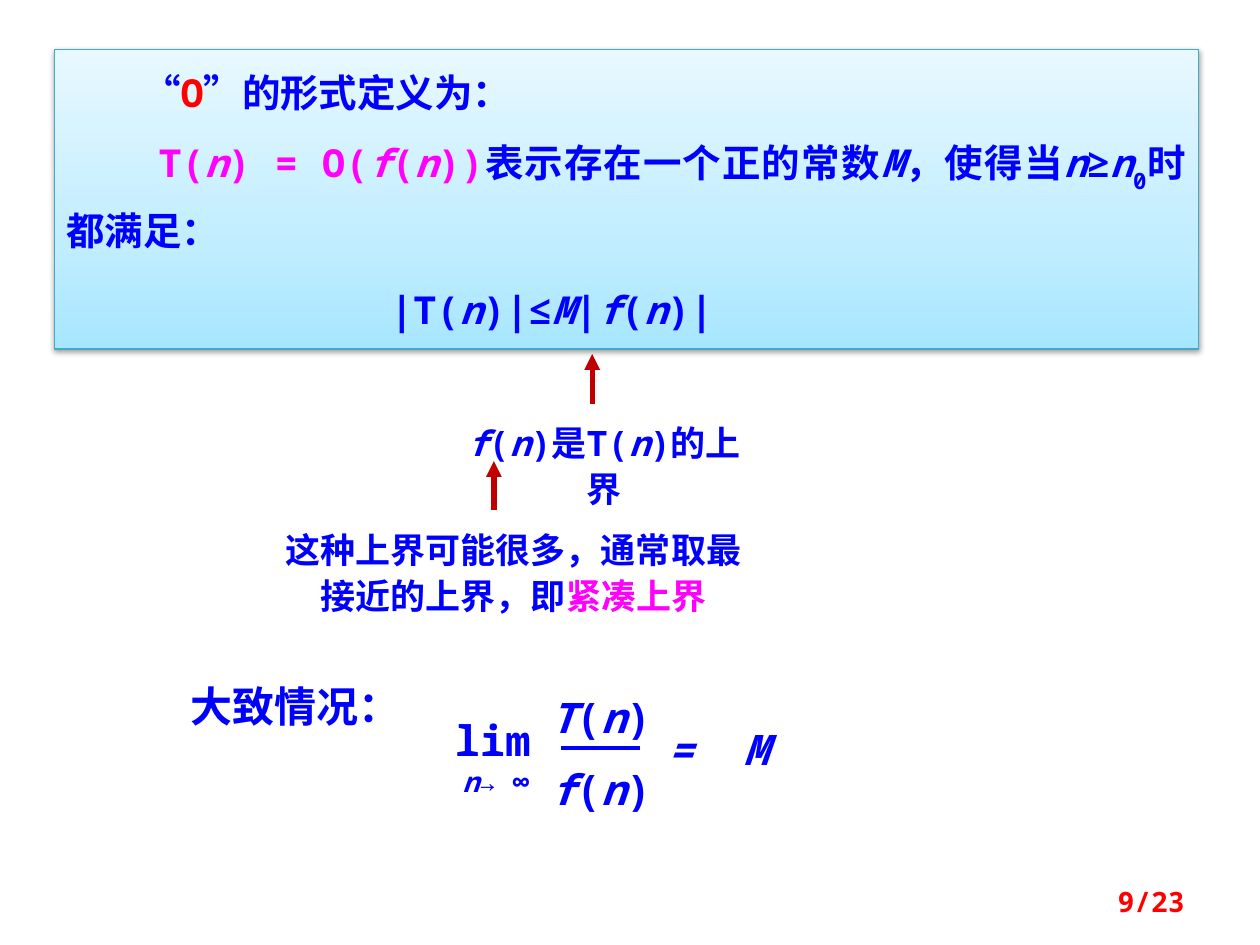
from copy import deepcopy

from lxml import etree
from pptx import Presentation
from pptx.dml.color import RGBColor
from pptx.enum.shapes import MSO_CONNECTOR, MSO_SHAPE
from pptx.enum.text import MSO_ANCHOR, MSO_AUTO_SIZE, PP_ALIGN
from pptx.oxml import parse_xml
from pptx.oxml.ns import nsdecls, qn
from pptx.util import Inches, Pt

LEFT, CENTER, RIGHT, JUSTIFY = PP_ALIGN.LEFT, PP_ALIGN.CENTER, PP_ALIGN.RIGHT, PP_ALIGN.JUSTIFY
FONT = "Noto Sans Mono"
BLUE, RED, PINK, DARK_RED = "0000FF", "FF0000", "FF00FF", "C00000"


def rgb(color):
    return RGBColor.from_string(color)


def add_runs(p, runs, size):
    """Each run is text, then optionally its style ("i" italic, "sub" subscript) and colour."""
    for text, style, color in runs:
        r = p.add_run()
        r.text = text
        r.font.name, r.font.size, r.font.bold = FONT, Pt(size), True
        r.font.italic = style == "i"
        r.font.color.rgb = rgb(color)
        if style == "sub":
            r.font._element.set("baseline", "-30000")


prs = Presentation()
prs.slide_width, prs.slide_height = Inches(10), Inches(7.5)
s = prs.slides.add_slide(prs.slide_layouts[6])

# Definition panel: gradient from bottom to top, soft shadow
sp = s.shapes.add_shape(MSO_SHAPE.RECTANGLE, Inches(0.43), Inches(0.39), Inches(9.08), Inches(2.38))
sp.line.color.rgb = rgb("46AAC5")
sp.line.width = Pt(0.75)
sp.fill.gradient()
sp.fill.gradient_angle = 90
stops = sp._element.spPr.find(".//" + qn("a:gsLst"))
stops.append(deepcopy(stops[-1]))
for stop, color, pos in zip(sp.fill.gradient_stops, ("A7E6FF", "C1EDFF", "E7F8FF"), (0, 0.35, 1)):
    stop.color.rgb = rgb(color)
    stop.position = pos
sp.shadow.inherit = False
sp._element.spPr.find(qn("a:effectLst")).append(parse_xml(
    f'<a:outerShdw {nsdecls("a")} blurRad="39370" dist="20320" dir="5400000" rotWithShape="0">'
    '<a:srgbClr val="000000"><a:alpha val="38000"/></a:srgbClr></a:outerShdw>'))

# Definition text: first-line indent and runs of each paragraph
definition = [
    (0.6, [("“", "", BLUE), ("O", "", RED), ("”的形式定义为：", "", BLUE)]),
    (0.73, [("T(", "", PINK), ("n", "i", PINK), (") = O(", "", PINK), ("f", "i", PINK),
            ("(", "", PINK), ("n", "i", PINK), ("))", "", PINK),
            ("表示存在一个正的常数", "", BLUE), ("M", "i", BLUE), ("，使得当", "", BLUE),
            ("n", "i", BLUE), ("≥", "", BLUE), ("n", "i", BLUE), ("0", "sub", BLUE),
            ("时都满足：", "", BLUE)]),
    (2.57, [("|T(", "", BLUE), ("n", "i", BLUE), (")|≤", "", BLUE), ("M", "i", BLUE),
            ("|", "", BLUE), ("f", "i", BLUE), ("(", "", BLUE), ("n", "i", BLUE),
            (")|", "", BLUE)]),
]
tf = sp.text_frame
tf.word_wrap = True
tf.auto_size = MSO_AUTO_SIZE.SHAPE_TO_FIT_TEXT
tf.vertical_anchor = MSO_ANCHOR.TOP
for i, (indent, runs) in enumerate(definition):
    p = tf.add_paragraph() if i else tf.paragraphs[0]
    p.alignment = JUSTIFY
    p.line_spacing = Pt(34)
    if i:
        p.space_before = Pt(11)
    p._p.get_or_add_pPr().set("indent", str(Inches(indent)))
    add_runs(p, runs, 22)

# Notes and the limit formula: box, inner margin, size, alignment, runs
PAD = 0.1
texts = [
    ((3.49, 3.26, 2.61, 0.47), PAD, 20, CENTER,
     [("f", "i", BLUE), ("(", "", BLUE), ("n", "i", BLUE), (")是T(", "", BLUE),
      ("n", "i", BLUE), (")的上界", "", BLUE)]),
    ((2.11, 4.11, 3.93, 0.84), PAD, 20, CENTER,
     [("这种上界可能很多，通常取最接近的上界，即", "", BLUE), ("紧凑上界", "", PINK)]),
    ((1.41, 5.31, 2.11, 0.55), PAD, 24, LEFT, [("大致情况：", "", BLUE)]),
    ((3.44, 5.63, 0.94, 0.44), 0, 24, CENTER, [("lim", "", BLUE)]),
    ((3.67, 6.04, 0.63, 0.3), 0, 16, LEFT, [("n", "i", BLUE), ("→ ∞", "", BLUE)]),
    ((4.3, 5.45, 0.94, 0.44), 0, 24, CENTER,
     [("T", "i", BLUE), ("(", "", BLUE), ("n", "i", BLUE), (")", "", BLUE)]),
    ((4.3, 6.02, 0.94, 0.44), 0, 24, CENTER,
     [("f", "i", BLUE), ("(", "", BLUE), ("n", "i", BLUE), (")", "", BLUE)]),
    ((5.3, 5.7, 1.03, 0.44), 0, 24, LEFT, [("=\tM", "i", BLUE)]),
]
for box, pad, size, align, runs in texts:
    tf = s.shapes.add_textbox(*map(Inches, box)).text_frame
    tf.word_wrap = True
    tf.auto_size = MSO_AUTO_SIZE.SHAPE_TO_FIT_TEXT
    tf.margin_left = tf.margin_right = Inches(pad)
    tf.margin_top = tf.margin_bottom = Inches(pad / 2)
    p = tf.paragraphs[0]
    p.alignment = align
    p.line_spacing = 1.1
    if "\t" in runs[0][0]:
        tabs = etree.SubElement(p._p.get_or_add_pPr(), qn("a:tabLst"))
        etree.SubElement(tabs, qn("a:tab"), pos=str(Inches(0.6)), algn="l")
    add_runs(p, runs, size)

# Upward arrows and the fraction bar: from, to, colour, width, arrowhead
lines = [
    ((4.7, 3.21), (4.7, 2.81), DARK_RED, 3, True),
    ((3.92, 4.05), (3.92, 3.66), DARK_RED, 3, True),
    ((4.45, 5.94), (5.08, 5.94), BLUE, 2.25, False),
]
for start, end, color, width, arrow in lines:
    c = s.shapes.add_connector(MSO_CONNECTOR.STRAIGHT, *map(Inches, start + end))
    c.line.color.rgb = rgb(color)
    c.line.width = Pt(width)
    if arrow:
        etree.SubElement(c.line._get_or_add_ln(), qn("a:tailEnd"), type="triangle")
    etree.SubElement(c._element.spPr, qn("a:effectLst"))

# Page number
tf = s.shapes.add_textbox(Inches(7.17), Inches(6.95), Inches(2.33), Inches(0.4)).text_frame
tf.word_wrap = True
tf.vertical_anchor = MSO_ANCHOR.MIDDLE
tf.paragraphs[0].alignment = RIGHT
add_runs(tf.paragraphs[0], [("9/23", "", RED)], 16)

prs.save("out.pptx")
